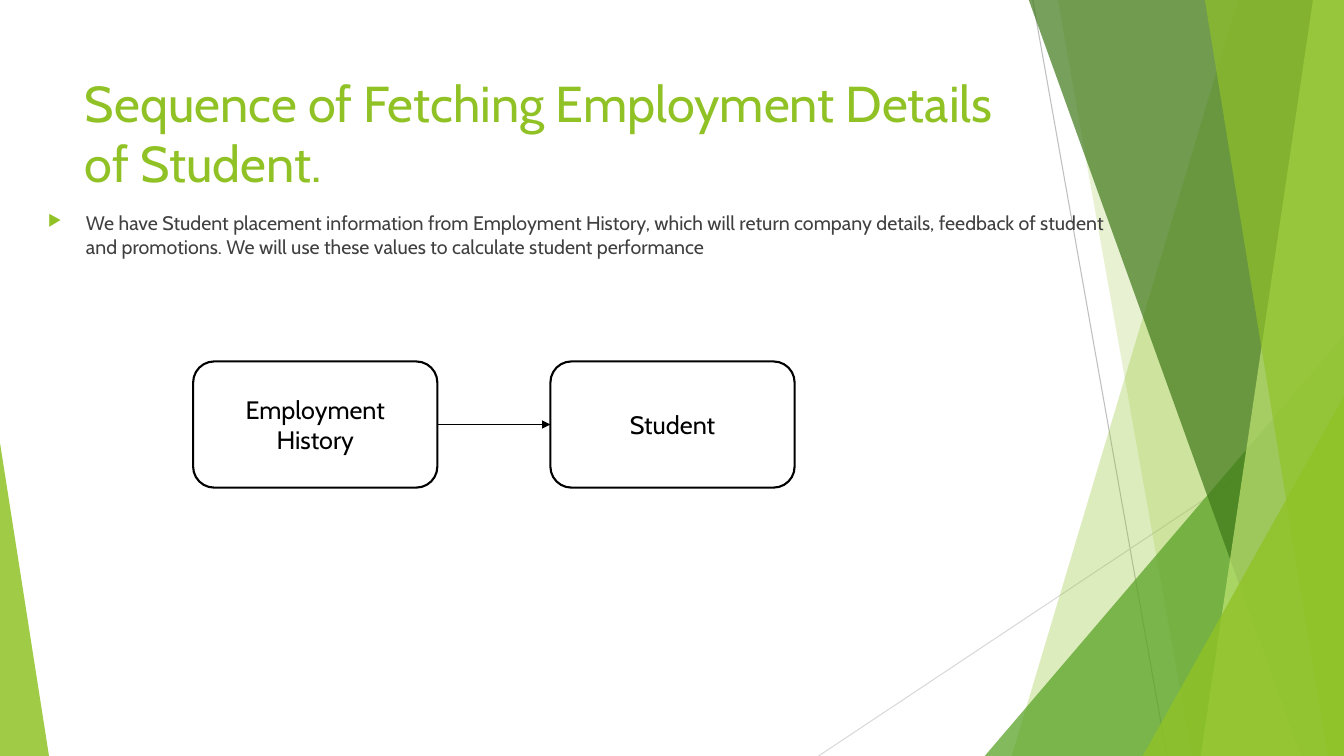
from dataclasses import dataclass

from lxml import etree
from pptx import Presentation
from pptx import util as u
from pptx.dml.color import RGBColor
from pptx.enum import shapes, text
from pptx.oxml import ns

SCALE = 914400 / 100.7
WIDE, HIGH = 1343, 755


@dataclass(frozen=True)
class Theme:
    font: str = "Cabin"
    lime: str = "90C226"
    leaf: str = "54A021"
    moss: str = "3F7819"
    pale: str = "C0E474"
    ink: str = "000000"
    body: str = "404040"
    paper: str = "FFFFFF"
    gray: str = "BFBFBF"
    mist: str = "D9D9D9"
    head: int = 36
    label: int = 18
    note: int = 14


def px(n):
    return u.Emu(round(n * SCALE))


def sub(node, tag, **attrs):
    return etree.SubElement(node, ns.qn(tag), attrs)


class Painter:
    def __init__(self, slide, theme):
        self.slide, self.theme = slide, theme
        self.items = slide.shapes

    def tint(self, shape, color, alpha=100):
        shape.shadow.inherit = False
        shape.fill.solid()
        shape.fill.fore_color.rgb = RGBColor.from_string(color)
        shape.line.fill.background()
        if alpha < 100:
            node = shape.element.spPr.find(ns.qn("a:solidFill"))[0]
            sub(node, "a:alpha", val=str(alpha * 1000))

    def band(self, points, color, alpha):
        dots = [(px(x), px(y)) for x, y in points]
        form = self.items.build_freeform(*dots[0])
        form.add_line_segments(dots[1:], close=True)
        self.tint(form.convert_to_shape(), color, alpha)

    def wedge(self, box, peak, color, alpha):
        kind = shapes.MSO_SHAPE.ISOSCELES_TRIANGLE
        shape = self.items.add_shape(kind, *map(px, box))
        shape.adjustments[0] = peak
        self.tint(shape, color, alpha)

    def line(self, start, end, color, width, arrow=False):
        kind = shapes.MSO_CONNECTOR.STRAIGHT
        link = self.items.add_connector(kind, *map(px, start + end))
        link.line.color.rgb = RGBColor.from_string(color)
        link.line.width = u.Pt(width)
        props = link.element.spPr
        if arrow:
            sub(props.find(ns.qn("a:ln")), "a:tailEnd", type="triangle")
        sub(props, "a:effectLst")

    def label(self, shape, words, size, color):
        frame = shape.text_frame
        frame.word_wrap = True
        para = frame.paragraphs[0]
        para.text = words
        para.font.name = self.theme.font
        para.font.size = u.Pt(size)
        para.font.color.rgb = RGBColor.from_string(color)
        return para

    def text(self, box, words, size, color):
        return self.label(self.items.add_textbox(*map(px, box)),
                          words, size, color)

    def bullet(self, box, words, size, color):
        para = self.text(box, words, size, color)
        para.space_before = u.Pt(10)
        props = para._p.get_or_add_pPr()
        props.set("marL", str(px(38)))
        props.set("indent", str(-px(38)))
        sub(sub(props, "a:buClr"), "a:srgbClr", val=self.theme.lime)
        sub(props, "a:buSzPct", val="80000")
        sub(props, "a:buChar", char="▶")
        # Schema order puts the default font after the bullet
        props.append(props.find(ns.qn("a:defRPr")))

    def node(self, box, words):
        kind = shapes.MSO_SHAPE.ROUNDED_RECTANGLE
        shape = self.items.add_shape(kind, *map(px, box))
        self.tint(shape, self.theme.paper)
        shape.line.color.rgb = RGBColor.from_string(self.theme.ink)
        shape.line.width = u.Pt(1.5)
        shape.text_frame.vertical_anchor = text.MSO_ANCHOR.MIDDLE
        para = self.label(shape, words, self.theme.label, self.theme.ink)
        para.alignment = text.PP_ALIGN.CENTER


deck = Presentation()
deck.slide_width, deck.slide_height = px(WIDE), px(HIGH)
theme = Theme()
page = Painter(deck.slides.add_slide(deck.slide_layouts[6]), theme)

# Thin rays behind the facets
page.line((1032, 0), (1166, HIGH), theme.gray, 0.74)
page.line((WIDE, 406), (818, HIGH), theme.mist, 0.74)


# Facets run from a slanted left edge to the right border
def facet(top, foot, color, alpha):
    page.band([(top, 0), (WIDE, 0), (WIDE, HIGH), (foot, HIGH)], color, alpha)


facet(1237, 1011, theme.lime, 30)
facet(1057, 1191, theme.lime, 20)
page.wedge((984, 335, 359, 420), 1, theme.leaf, 72)
facet(1028, 1300, theme.moss, 70)
facet(1312, 1200, theme.pale, 70)
facet(1204, 1327, theme.lime, 65)
page.wedge((1142, 396, 201, 359), 1, theme.lime, 80)
page.wedge((0, 442, 49, 313), 0, theme.lime, 85)

# Title and explanation
page.text((75, 67, 947, 145),
          "Sequence of Fetching Employment Details of Student.",
          theme.head, theme.lime)
page.bullet((38, 206, 1099, 70),
            "We have Student placement information from Employment History, "
            "which will return company details, feedback of student and "
            "promotions. We will use these values to calculate student "
            "performance", theme.note, theme.body)

# Flow from history to student
left, top, wide, high, step = 193, 361, 244, 126, 357
for i, name in enumerate(("Employment History", "Student")):
    page.node((left + i * step, top, wide, high), name)
mid = top + high // 2
page.line((left + wide, mid), (left + step, mid), theme.ink, 1, arrow=True)

deck.save("out.pptx")
